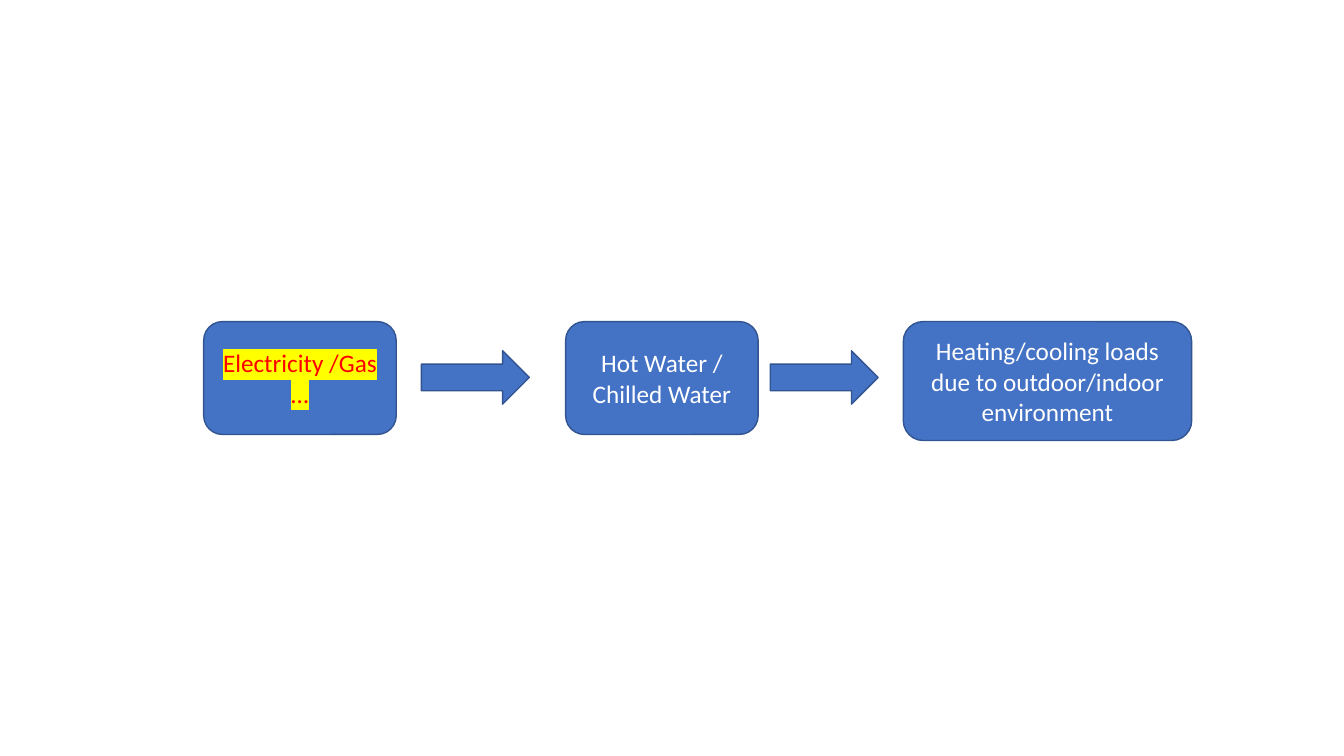
import lxml.etree
import pptx
import pptx.dml.color
import pptx.enum.shapes
import pptx.enum.text
import pptx.oxml.ns
import pptx.util

Inches = pptx.util.Inches
SHAPES = pptx.enum.shapes.MSO_SHAPE


def color(hex_string):
    """Turn a hex string into a colour."""
    return pptx.dml.color.RGBColor.from_string(hex_string)


def add_highlight(run, hex_string):
    """Set the marker colour behind a run that has a font colour."""
    qn = pptx.oxml.ns.qn
    highlight = lxml.etree.Element(qn("a:highlight"))
    lxml.etree.SubElement(highlight, qn("a:srgbClr"), val=hex_string)
    run._r.get_or_add_rPr().find(qn("a:solidFill")).addnext(highlight)


def write_text(shape, text, size=18, font="Calibri", text_color="FFFFFF", highlight=None):
    """Write centred text into a shape."""
    frame = shape.text_frame
    frame.word_wrap = True
    frame.vertical_anchor = pptx.enum.text.MSO_ANCHOR.MIDDLE
    paragraph = frame.paragraphs[0]
    paragraph.alignment = pptx.enum.text.PP_ALIGN.CENTER
    run = paragraph.add_run()
    run.text = text
    run.font.size = pptx.util.Pt(size)
    run.font.name = font
    run.font.color.rgb = color(text_color)
    if highlight:
        add_highlight(run, highlight)


def add_block(slide, preset, left, top, width, height):
    """Add a blue outlined shape."""
    shape = slide.shapes.add_shape(
        preset, Inches(left), Inches(top), Inches(width), Inches(height))
    shape.shadow.inherit = False
    shape.fill.solid()
    shape.fill.fore_color.rgb = color("4472C4")
    shape.line.color.rgb = color("325491")
    shape.line.width = pptx.util.Pt(1)
    return shape


def add_energy_flow(slide, left, top):
    """Place the energy stages and the arrows between them."""
    stages = [
        (0, 1.91, 1.12, "Electricity /Gas …",
         {"text_color": "FF0000", "highlight": "FFFF00"}),
        (3.59, 1.91, 1.12, "Hot Water / Chilled Water", {}),
        (6.94, 2.86, 1.18, "Heating/cooling loads due to outdoor/indoor environment", {}),
    ]
    for offset, width, height, text, text_format in stages:
        stage = add_block(slide, SHAPES.ROUNDED_RECTANGLE, left + offset, top, width, height)
        write_text(stage, text, **text_format)
    for offset in (2.16, 5.62):
        add_block(slide, SHAPES.RIGHT_ARROW, left + offset, top + 0.29, 1.07, 0.53)


def main():
    """Build and save the presentation."""
    presentation = pptx.Presentation()
    presentation.slide_width = Inches(13.33)
    presentation.slide_height = Inches(7.5)
    slide = presentation.slides.add_slide(presentation.slide_layouts[6])
    add_energy_flow(slide, left=2.02, top=3.19)
    presentation.save("out.pptx")


main()
